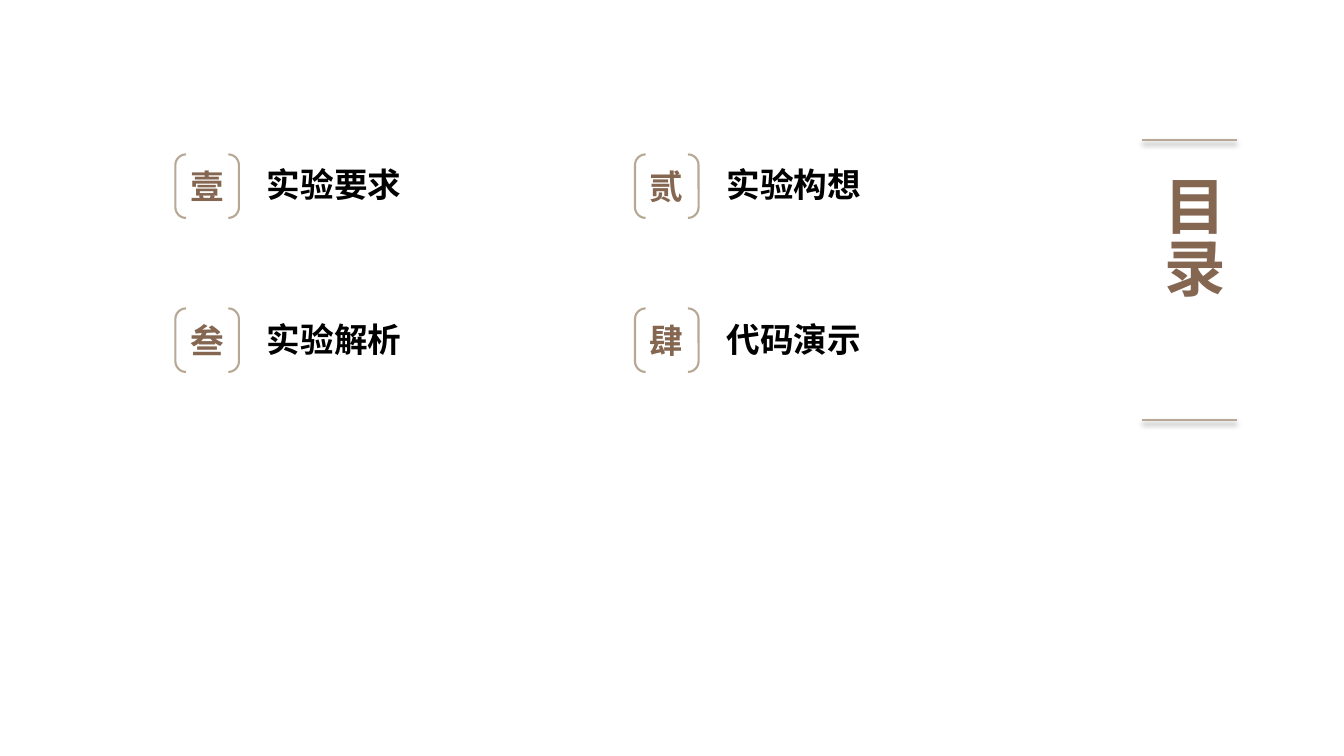
from lxml.etree import SubElement
from pptx import Presentation
from pptx.dml.color import RGBColor
from pptx.enum.shapes import MSO_CONNECTOR, MSO_SHAPE
from pptx.enum.text import MSO_ANCHOR, MSO_AUTO_SIZE, PP_ALIGN
from pptx.oxml.ns import qn
from pptx.util import Pt

COLORS = {"line": "B6A894", "accent": "856651", "text": "000000", "shadow": "000000"}
FONT = "Noto Sans CJK SC"
ENTRIES = [("壹", "实验要求"), ("贰", "实验构想"), ("叁", "实验解析"), ("肆", "代码演示")]
COLUMNS = 2
GRID_LEFT, GRID_TOP = 125.3, 110.3
COLUMN_STEP, ROW_STEP = 328.3, 110
BRACKET_SIZE = 45.4


def color(name):
    return RGBColor.from_string(COLORS[name])


def write_text(text_frame, text, size, color_name, alignment):
    text_frame.text = text
    paragraph = text_frame.paragraphs[0]
    paragraph.alignment = alignment
    font = paragraph.font
    font.size = Pt(size)
    font.bold = True
    font.color.rgb = color(color_name)
    font.name = FONT
    properties = paragraph._p.pPr.find(qn("a:defRPr"))
    SubElement(properties, qn("a:ea"), typeface=FONT)
    return paragraph


def add_title(slide):
    title = slide.shapes.title
    title.left, title.top, title.width, title.height = Pt(809.3), Pt(121.7), Pt(79.2), Pt(159)
    text_frame = title.text_frame
    text_frame.auto_size = MSO_AUTO_SIZE.NONE
    text_frame.vertical_anchor = MSO_ANCHOR.MIDDLE
    text_frame._txBody.bodyPr.set("vert", "eaVert")
    paragraph = write_text(text_frame, "目录", 44, "accent", PP_ALIGN.JUSTIFY)
    paragraph.line_spacing = 0.9


def add_title_rule(slide, top):
    """Draw a horizontal line with a soft shadow below it."""
    rule = slide.shapes.add_connector(
        MSO_CONNECTOR.STRAIGHT, Pt(815.8), Pt(top), Pt(883.6), Pt(top))
    rule.line.color.rgb = color("line")
    rule.line.width = Pt(1.5)
    effects = SubElement(rule._element.spPr, qn("a:effectLst"))
    shadow = SubElement(effects, qn("a:outerShdw"), blurRad=str(Pt(4)),
                        dist=str(Pt(3)), dir="5400000", rotWithShape="0")
    shade = SubElement(shadow, qn("a:srgbClr"), val=COLORS["shadow"])
    SubElement(shade, qn("a:alpha"), val="40000")


def add_numeral(slide, numeral, left, top):
    bracket = slide.shapes.add_shape(
        MSO_SHAPE.DOUBLE_BRACKET, Pt(left), Pt(top), Pt(BRACKET_SIZE), Pt(BRACKET_SIZE))
    bracket.shadow.inherit = False
    bracket.fill.background()
    bracket.line.color.rgb = color("line")
    bracket.line.width = Pt(1.5)
    text_frame = bracket.text_frame
    text_frame.margin_left = text_frame.margin_right = 0
    text_frame.margin_top = text_frame.margin_bottom = 0
    text_frame.vertical_anchor = MSO_ANCHOR.MIDDLE
    write_text(text_frame, numeral, 24, "accent", PP_ALIGN.CENTER)


def add_label(slide, label, left, top):
    box = slide.shapes.add_textbox(Pt(left), Pt(top), Pt(270), Pt(36))
    box.text_frame.word_wrap = True
    box.text_frame.auto_size = MSO_AUTO_SIZE.SHAPE_TO_FIT_TEXT
    write_text(box.text_frame, label, 24, "text", PP_ALIGN.LEFT)


def main():
    presentation = Presentation()
    presentation.slide_width, presentation.slide_height = Pt(960), Pt(540)
    slide = presentation.slides.add_slide(presentation.slide_layouts.get_by_name("Title Only"))
    for top in (100, 300):
        add_title_rule(slide, top)
    for index, (numeral, label) in enumerate(ENTRIES):
        row, column = divmod(index, COLUMNS)
        left = GRID_LEFT + column * COLUMN_STEP
        top = GRID_TOP + row * ROW_STEP
        add_numeral(slide, numeral, left, top)
        add_label(slide, label, left + 58.3, top + 3.6)
    add_title(slide)
    presentation.save("out.pptx")


if __name__ == "__main__":
    main()
